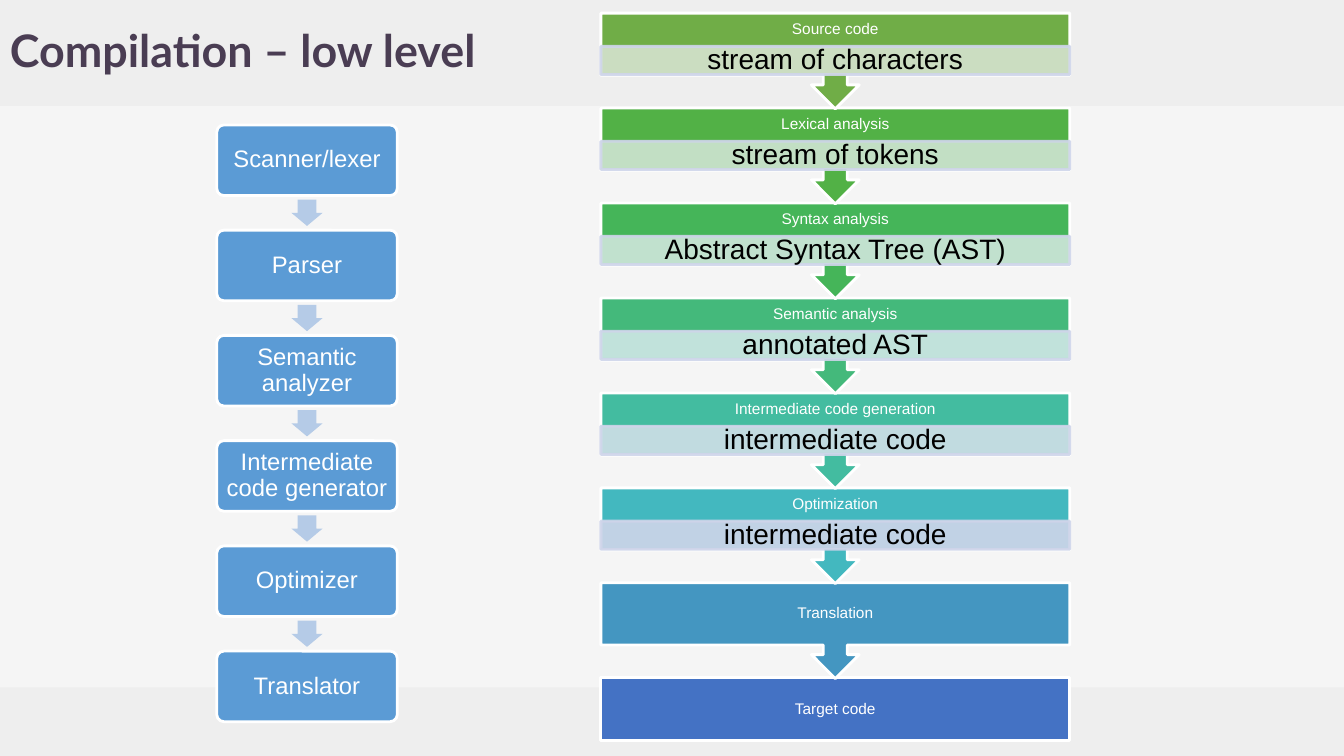
from lxml import etree
from pptx import Presentation
from pptx.dml.color import RGBColor
from pptx.enum.shapes import MSO_SHAPE
from pptx.enum.text import MSO_ANCHOR, PP_ALIGN
from pptx.oxml.ns import qn
from pptx.util import Inches, Pt

# Content
TITLE = "Compilation – low level"
TOOLS = ["Scanner/lexer", "Parser", "Semantic analyzer",
         "Intermediate code generator", "Optimizer", "Translator"]
# Stage, stage colour, output, output colour
STAGES = [
    ("Source code", "70AD47", "stream of characters", "D5E3CF"),
    ("Lexical analysis", "52B146", "stream of tokens", "CFE4D2"),
    ("Syntax analysis", "45B559", "Abstract Syntax Tree (AST)", "CFE6DB"),
    ("Semantic analysis", "44B97B", "annotated AST", "CFE7E6"),
    ("Intermediate code generation", "43BCA0", "intermediate code", "CFDFE8"),
    ("Optimization", "43B8BF", "intermediate code", "CFD5EA"),
    ("Translation", "4496C1", None, None),
    ("Target code", "4472C4", None, None),
]
COLORS = {"page": "F5F5F5", "strip": "EEEEEE", "title": "4A3D53",
          "tool": "5B9BD5", "arrow": "B5CBE7", "output line": "CFD5EA",
          "white": "FFFFFF", "black": "000000"}

# Layout in inches
WIDTH, HEIGHT = 13.33, 7.5
HEADER_HEIGHT, FOOTER_HEIGHT = 1.05, 0.68
TOOL_LEFT, TOOL_TOP, TOOL_WIDTH, TOOL_HEIGHT = 2.15, 1.24, 1.79, 0.7
TOOL_PITCH = 1.044
ARROW_WIDTH, ARROW_HEIGHT = 0.31, 0.26
STAGE_LEFT, STAGE_TOP, STAGE_WIDTH = 5.96, 0.13, 4.65
STAGE_PITCH, CALLOUT_HEIGHT, BOX_HEIGHT = 0.942, 0.95, 0.62
LABEL_HEIGHT, OUTPUT_HEIGHT = 0.33, 0.28

presentation = Presentation()
presentation.slide_width, presentation.slide_height = Inches(WIDTH), Inches(HEIGHT)
slide = presentation.slides.add_slide(presentation.slide_layouts[6])
slide.background.fill.solid()
slide.background.fill.fore_color.rgb = RGBColor.from_string(COLORS["page"])


def add_block(kind, left, top, width, height, fill, line=None):
    shape = slide.shapes.add_shape(
        kind, Inches(left), Inches(top), Inches(width), Inches(height))
    shape.shadow.inherit = False
    shape.fill.solid()
    shape.fill.fore_color.rgb = RGBColor.from_string(fill)
    if line:
        shape.line.color.rgb = RGBColor.from_string(line)
        shape.line.width = Pt(2)
    else:
        shape.line.fill.background()
    return shape


def write(shape, text, size, color, insets, font="Arial",
          align=PP_ALIGN.CENTER, bold=False):
    frame = shape.text_frame
    frame.word_wrap = True
    frame.vertical_anchor = MSO_ANCHOR.MIDDLE
    (frame.margin_left, frame.margin_top,
     frame.margin_right, frame.margin_bottom) = map(Inches, insets)
    paragraph = frame.paragraphs[0]
    paragraph.text = text
    paragraph.alignment = align
    paragraph.line_spacing = 0.9
    paragraph.font.name = font
    paragraph.font.size = Pt(size)
    paragraph.font.bold = bold
    paragraph.font.color.rgb = RGBColor.from_string(color)


def set_opacity(shape, percent):
    for color in shape._element.spPr.iter(qn("a:srgbClr")):
        etree.SubElement(color, qn("a:alpha"), val=str(percent * 1000))


# Header and footer strips
for top, height in ((HEIGHT - FOOTER_HEIGHT, FOOTER_HEIGHT), (0, HEADER_HEIGHT)):
    add_block(MSO_SHAPE.RECTANGLE, 0, top, WIDTH, height, COLORS["strip"])

# Stages, last one first so that each arrow overlaps the stage below
for row, (stage, color, output, output_color) in reversed(list(enumerate(STAGES))):
    top = STAGE_TOP + row * STAGE_PITCH
    is_last = row == len(STAGES) - 1
    kind = MSO_SHAPE.RECTANGLE if is_last else MSO_SHAPE.DOWN_ARROW_CALLOUT
    height = BOX_HEIGHT if is_last else CALLOUT_HEIGHT
    box = add_block(kind, STAGE_LEFT, top, STAGE_WIDTH, height, color, COLORS["white"])
    bottom_inset = 0.09 + (BOX_HEIGHT - LABEL_HEIGHT if output else 0)
    write(box, stage, 11, COLORS["white"], (0.09, 0.09, 0.09, bottom_inset))
    if output:
        band = add_block(MSO_SHAPE.RECTANGLE, STAGE_LEFT, top + LABEL_HEIGHT,
                         STAGE_WIDTH, OUTPUT_HEIGHT, output_color, COLORS["output line"])
        set_opacity(band, 90)
        write(band, output, 20, COLORS["black"], (0.16, 0.03, 0.16, 0.03))

# Tools with an arrow between neighbours
for row, tool in enumerate(TOOLS):
    top = TOOL_TOP + row * TOOL_PITCH
    box = add_block(MSO_SHAPE.ROUNDED_RECTANGLE, TOOL_LEFT, top,
                    TOOL_WIDTH, TOOL_HEIGHT, COLORS["tool"], COLORS["white"])
    box.adjustments[0] = 0.1
    write(box, tool, 17, COLORS["white"], (0.07,) * 4)
    if row < len(TOOLS) - 1:
        gap = TOOL_PITCH - TOOL_HEIGHT
        arrow = add_block(MSO_SHAPE.DOWN_ARROW,
                          TOOL_LEFT + (TOOL_WIDTH - ARROW_WIDTH) / 2,
                          top + TOOL_HEIGHT + (gap - ARROW_HEIGHT) / 2,
                          ARROW_WIDTH, ARROW_HEIGHT, COLORS["arrow"])
        arrow.adjustments[0], arrow.adjustments[1] = 0.6, 0.5

# Title
title = slide.shapes.add_textbox(0, 0, Inches(11.91), Inches(HEADER_HEIGHT))
write(title, TITLE, 32, COLORS["title"], (0.1,) * 4, "Lato", PP_ALIGN.LEFT, True)

presentation.save("out.pptx")
